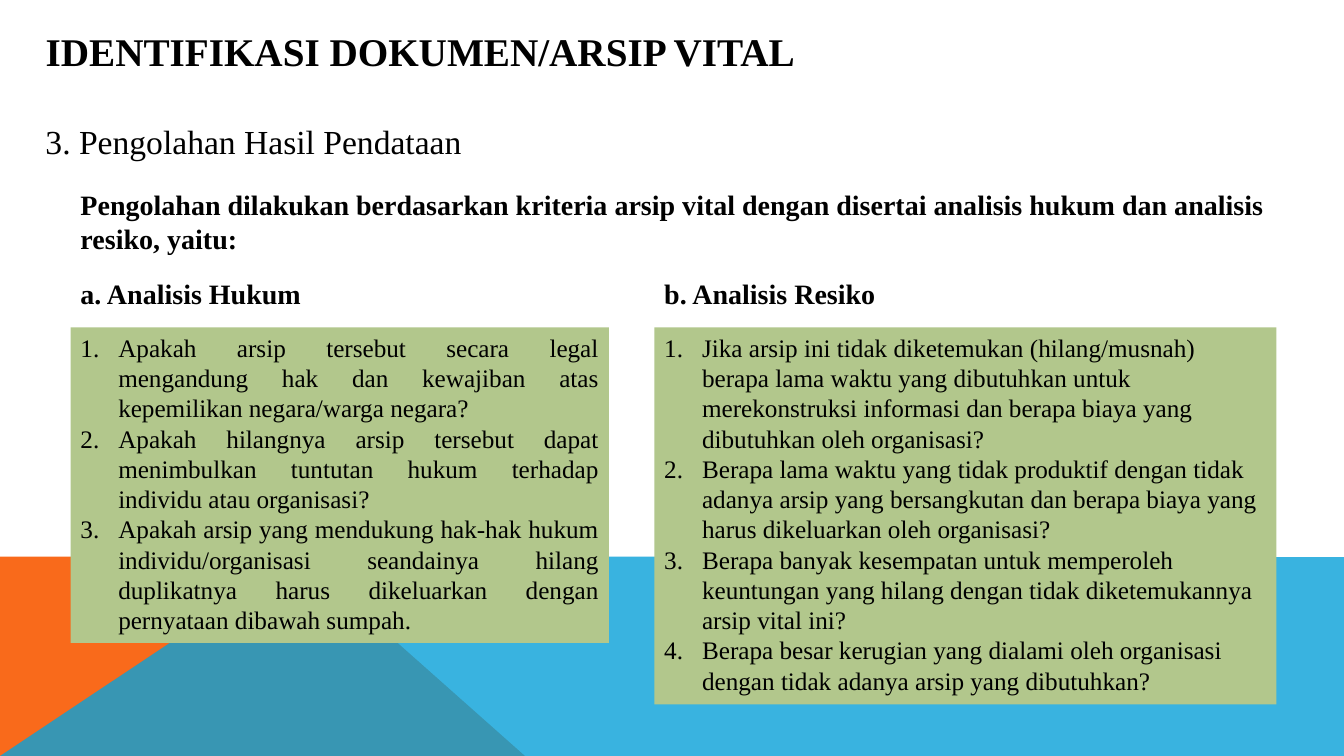
import pptx
import pptx.dml.color
import pptx.enum.shapes
import pptx.enum.text
import pptx.oxml
import pptx.oxml.ns
import pptx.util

Pt = pptx.util.Pt
RGBColor = pptx.dml.color.RGBColor
Align = pptx.enum.text.PP_ALIGN

BLACK = RGBColor(0x00, 0x00, 0x00)
ORANGE = RGBColor(0xF9, 0x6A, 0x1B)
BLUE = RGBColor(0x08, 0xA1, 0xD9)
GREEN = RGBColor(0xB2, 0xC7, 0x8C)

LEGAL_QUESTIONS = [
    "Apakah arsip tersebut secara legal mengandung hak dan kewajiban atas kepemilikan negara/warga negara?",
    "Apakah hilangnya arsip tersebut dapat menimbulkan tuntutan hukum terhadap individu atau organisasi?",
    "Apakah arsip yang mendukung hak-hak hukum individu/organisasi seandainya hilang duplikatnya harus "
    "dikeluarkan dengan pernyataan dibawah sumpah.",
]
RISK_QUESTIONS = [
    "Jika arsip ini tidak diketemukan (hilang/musnah) berapa lama waktu yang dibutuhkan untuk "
    "merekonstruksi informasi dan berapa biaya yang dibutuhkan oleh organisasi?",
    "Berapa lama waktu yang tidak produktif dengan tidak adanya arsip yang bersangkutan dan berapa biaya "
    "yang harus dikeluarkan oleh organisasi?",
    "Berapa banyak kesempatan untuk memperoleh keuntungan yang hilang dengan tidak diketemukannya "
    "arsip vital ini?",
    "Berapa besar kerugian yang dialami oleh organisasi dengan tidak adanya arsip yang dibutuhkan?",
]


class SlideBuilder:
    """Hold the text style and the current page, and draw each kind of element."""

    def __init__(self, deck, font):
        self.page = deck.slides.add_slide(deck.slide_layouts[5])
        self.font = font

    def set_text(self, shape, texts, size, bold=False, align=Align.LEFT, wrap=True):
        frame = shape.text_frame
        frame.word_wrap = wrap
        frame.auto_size = pptx.enum.text.MSO_AUTO_SIZE.NONE
        frame.vertical_anchor = pptx.enum.text.MSO_ANCHOR.TOP
        for index, text in enumerate(texts):
            para = frame.add_paragraph() if index else frame.paragraphs[0]
            para.alignment = align
            span = para.add_run()
            span.text = text
            span.font.name = self.font
            span.font.size = Pt(size)
            span.font.bold = bold
            span.font.color.rgb = BLACK
        return frame.paragraphs

    def title(self, text, left, top, width, height, size):
        box = self.page.shapes.title
        box.left, box.top, box.width, box.height = map(Pt, (left, top, width, height))
        self.set_text(box, [text], size, bold=True, wrap=False)

    def label(self, text, left, top, width, height, size, bold=True, wrap=False):
        box = self.page.shapes.add_textbox(*map(Pt, (left, top, width, height)))
        self.set_text(box, [text], size, bold, wrap=wrap)

    def paint(self, shape, color):
        shape.shadow.inherit = False
        shape.fill.solid()
        shape.fill.fore_color.rgb = color
        shape.line.fill.background()

    def band(self, points, color, opacity=100):
        start, *others = [(Pt(x), Pt(y)) for x, y in points]
        outline = self.page.shapes.build_freeform(*start)
        outline.add_line_segments(others, close=True)
        shape = outline.convert_to_shape()
        self.paint(shape, color)
        if opacity < 100:
            tint = shape._element.spPr.find(".//" + pptx.oxml.ns.qn("a:srgbClr"))
            tint.append(pptx.oxml.parse_xml(
                f'<a:alpha {pptx.oxml.ns.nsdecls("a")} val="{opacity * 1000}"/>'))

    def numbered_panel(self, items, left, top, width, height, align):
        panel = self.page.shapes.add_shape(
            pptx.enum.shapes.MSO_SHAPE.RECTANGLE, *map(Pt, (left, top, width, height)))
        self.paint(panel, GREEN)
        for para in self.set_text(panel, items, 18, align=align):
            properties = para._p.get_or_add_pPr()
            properties.set("marL", str(Pt(27)))
            properties.set("indent", str(-Pt(27)))
            properties.append(pptx.oxml.parse_xml(
                f'<a:buAutoNum {pptx.oxml.ns.nsdecls("a")} type="arabicPeriod"/>'))


def main():
    deck = pptx.Presentation()
    deck.slide_width, deck.slide_height = Pt(960), Pt(540)
    builder = SlideBuilder(deck, "Times New Roman")

    horizon = 397.5
    builder.band([(0, 540), (0, horizon), (214.5, horizon), (375, 540)], ORANGE)
    builder.band([(0, 540), (214, horizon), (960, 398), (960, 540)], BLUE, opacity=80)

    builder.title("IDENTIFIKASI DOKUMEN/ARSIP VITAL", 25.4, 16, 555, 41, 28)
    builder.label("3. Pengolahan Hasil Pendataan", 25.4, 83, 315, 36, 24, bold=False)
    builder.label(
        "Pengolahan dilakukan berdasarkan kriteria arsip vital dengan disertai analisis hukum "
        "dan analisis resiko, yaitu:", 50.4, 130.3, 868, 55.7, 20, wrap=True)

    columns = [
        ("a. Analisis Hukum", LEGAL_QUESTIONS, 50.4, 173, 384.5, 225.4, Align.JUSTIFY),
        ("b. Analisis Resiko", RISK_QUESTIONS, 467.4, 166.5, 444.3, 269.3, Align.LEFT),
    ]
    for heading, questions, left, heading_width, width, height, align in columns:
        builder.label(heading, left, 194, heading_width, 31.5, 20)
        builder.numbered_panel(questions, left, 233.8, width, height, align)

    deck.save("out.pptx")


if __name__ == "__main__":
    main()
